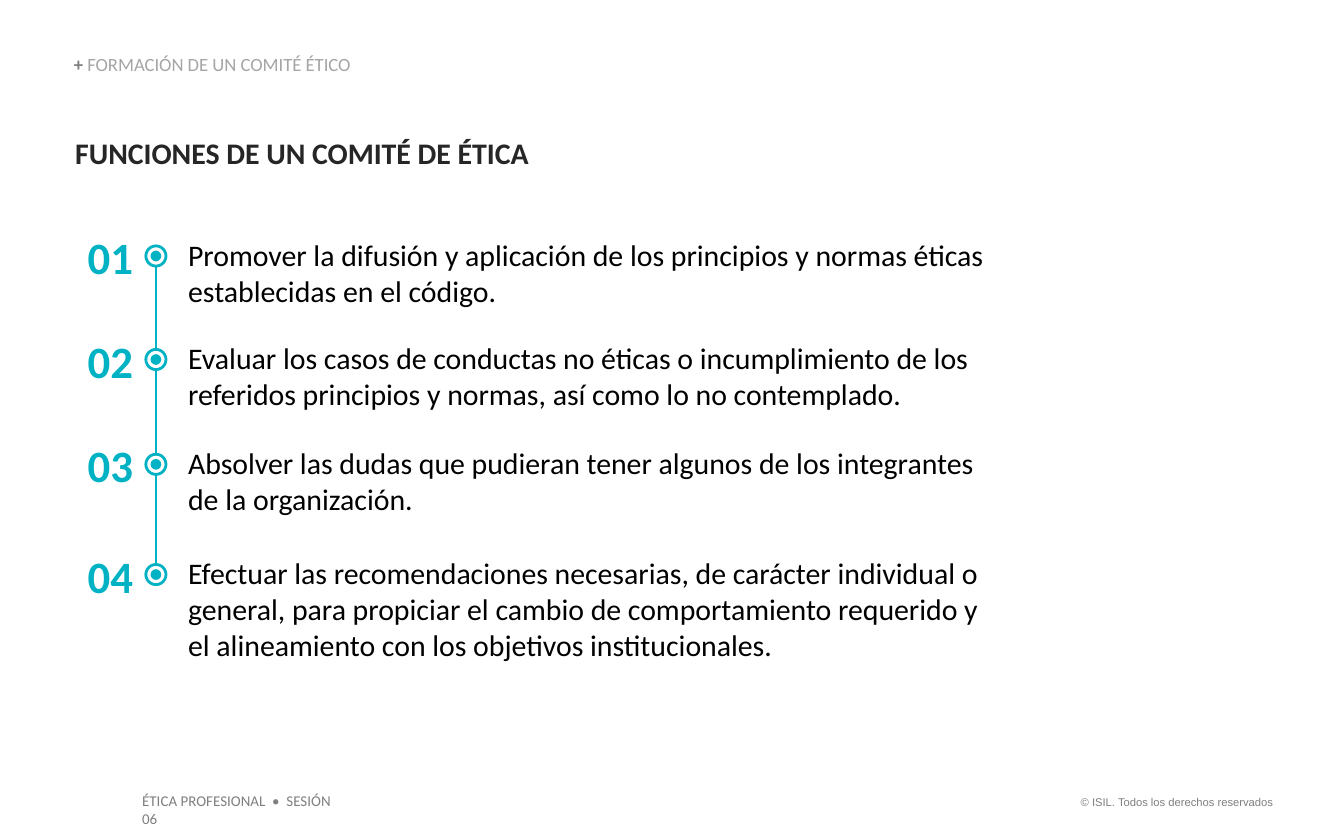
import pptx
import pptx.util
import pptx.dml.color
import pptx.enum.shapes
import pptx.enum.text
import pptx.oxml.ns
import lxml.etree

Inches = pptx.util.Inches
Align = pptx.enum.text.PP_ALIGN
Anchor = pptx.enum.text.MSO_ANCHOR

THEME = {
    "accent": "00B2C3", "white": "FFFFFF", "body": "000000", "title": "262626",
    "muted": "7F7F7F", "section": "A5A5A5",
    "font": "Calibri", "legal_font": "Arial",
    "legal_size": 6, "footer_size": 8, "section_size": 10,
    "text_size": 16, "number_size": 24, "rail_width": 1, "ring_width": 1.5,
}

COPYRIGHT = "© ISIL. Todos los derechos reservados"
FOOTER = "ÉTICA PROFESIONAL  •  SESIÓN 06"
SECTION = ("+ ", "FORMACIÓN DE UN COMITÉ ÉTICO")
TITLE = "FUNCIONES DE UN COMITÉ DE ÉTICA"
FUNCTIONS = [
    (1.76, 6.22, 0.54, "Promover la difusión y aplicación de los principios y normas éticas establecidas en el código."),
    (2.53, 6.22, 0.54, "Evaluar los casos de conductas no éticas o incumplimiento de los referidos principios y normas, así como lo no contemplado."),
    (3.31, 5.87, 0.54, "Absolver las dudas que pudieran tener algunos de los integrantes de la organización."),
    (4.13, 5.9, 0.81, "Efectuar las recomendaciones necesarias, de carácter individual o general, para propiciar el cambio de comportamiento requerido y el alineamiento con los objetivos institucionales."),
]

MARGIN = 0.55
TEXT_LEFT = 1.4
RAIL_X = 1.16
RING_SIZE = 0.15
DOT_SIZE = 0.08
RING_DROP = 0.07
NUMBER_RISE = 0.05


def color(name):
    return pptx.dml.color.RGBColor.from_string(THEME[name])


def style(span, size, tint, bold=False, font="font"):
    span.font.name = THEME[font]
    span.font.size = pptx.util.Pt(THEME[size])
    span.font.color.rgb = color(tint)
    span.font.bold = bold


def add_text(page, area, text, size, tint, bold=False, font="font",
             align=Align.LEFT, padding=(0, 0)):
    box = page.shapes.add_textbox(*map(Inches, area))
    frame = box.text_frame
    frame.word_wrap = True
    frame.auto_size = pptx.enum.text.MSO_AUTO_SIZE.SHAPE_TO_FIT_TEXT
    frame.margin_left = frame.margin_right = Inches(padding[0])
    frame.margin_top = frame.margin_bottom = Inches(padding[1])
    frame.text = text
    para = frame.paragraphs[0]
    para.alignment = align
    style(para.runs[0], size, tint, bold, font)
    return box


def add_circle(group, center_y, size, fill):
    circle = group.shapes.add_shape(
        pptx.enum.shapes.MSO_SHAPE.OVAL, Inches(RAIL_X - size / 2),
        Inches(center_y - size / 2), Inches(size), Inches(size))
    circle.shadow.inherit = False
    circle.fill.solid()
    circle.fill.fore_color.rgb = color(fill)
    return circle


def add_marker(page, top):
    center_y = top + RING_SIZE / 2
    group = page.shapes.add_group_shape()
    ring = add_circle(group, center_y, RING_SIZE, "white")
    ring.line.color.rgb = color("accent")
    ring.line.width = pptx.util.Pt(THEME["ring_width"])
    add_circle(group, center_y, DOT_SIZE, "accent").line.fill.background()


def add_rail(page, top, bottom):
    rail = page.shapes.add_connector(
        pptx.enum.shapes.MSO_CONNECTOR.STRAIGHT,
        Inches(RAIL_X), Inches(top), Inches(RAIL_X), Inches(bottom))
    rail.line.color.rgb = color("accent")
    rail.line.width = pptx.util.Pt(THEME["rail_width"])
    lxml.etree.SubElement(rail._element.spPr, pptx.oxml.ns.qn("a:effectLst"))


def add_section(page):
    box = add_text(page, (MARGIN, 0.41, 5.23, 0.15), SECTION[0],
                   "section_size", "muted", bold=True)
    box.text_frame.vertical_anchor = Anchor.BOTTOM
    para = box.text_frame.paragraphs[0]
    para.line_spacing = 0.9
    span = para.add_run()
    span.text = SECTION[1]
    style(span, "section_size", "section")


def main():
    deck = pptx.Presentation()
    deck.slide_width, deck.slide_height = Inches(10), Inches(6.25)
    page = deck.slides.add_slide(deck.slide_layouts[6])

    add_text(page, (7.88, 5.87, 1.69, 0.2), COPYRIGHT, "legal_size", "muted",
             font="legal_font", align=Align.RIGHT, padding=(0.1, 0.05))
    add_text(page, (0.96, 5.84, 1.74, 0.24), FOOTER, "footer_size", "muted",
             padding=(0.1, 0.05))
    add_section(page)
    add_text(page, (MARGIN + 0.01, 1, 7.25, 0.27), TITLE, "text_size", "title", bold=True)

    add_rail(page, FUNCTIONS[0][0] + RING_DROP + RING_SIZE, FUNCTIONS[-1][0] + RING_DROP)
    for number, (top, width, height, text) in enumerate(FUNCTIONS, 1):
        add_text(page, (TEXT_LEFT, top, width, height), text, "text_size", "body")
        add_text(page, (MARGIN, top - NUMBER_RISE, 0.44, 0.4), f"{number:02}",
                 "number_size", "accent", bold=True, align=Align.RIGHT)
        add_marker(page, top + RING_DROP)

    deck.save("out.pptx")


if __name__ == "__main__":
    main()
